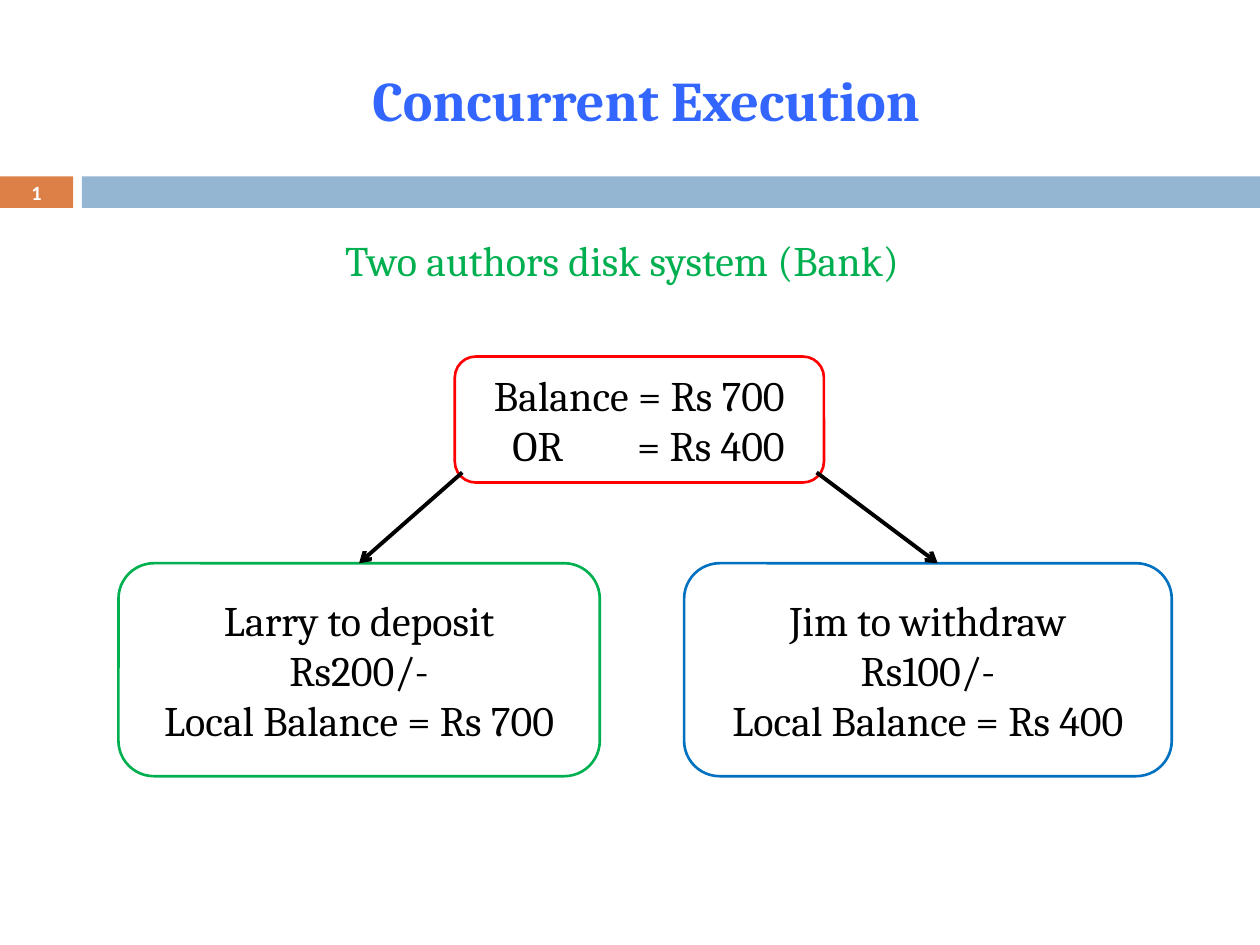
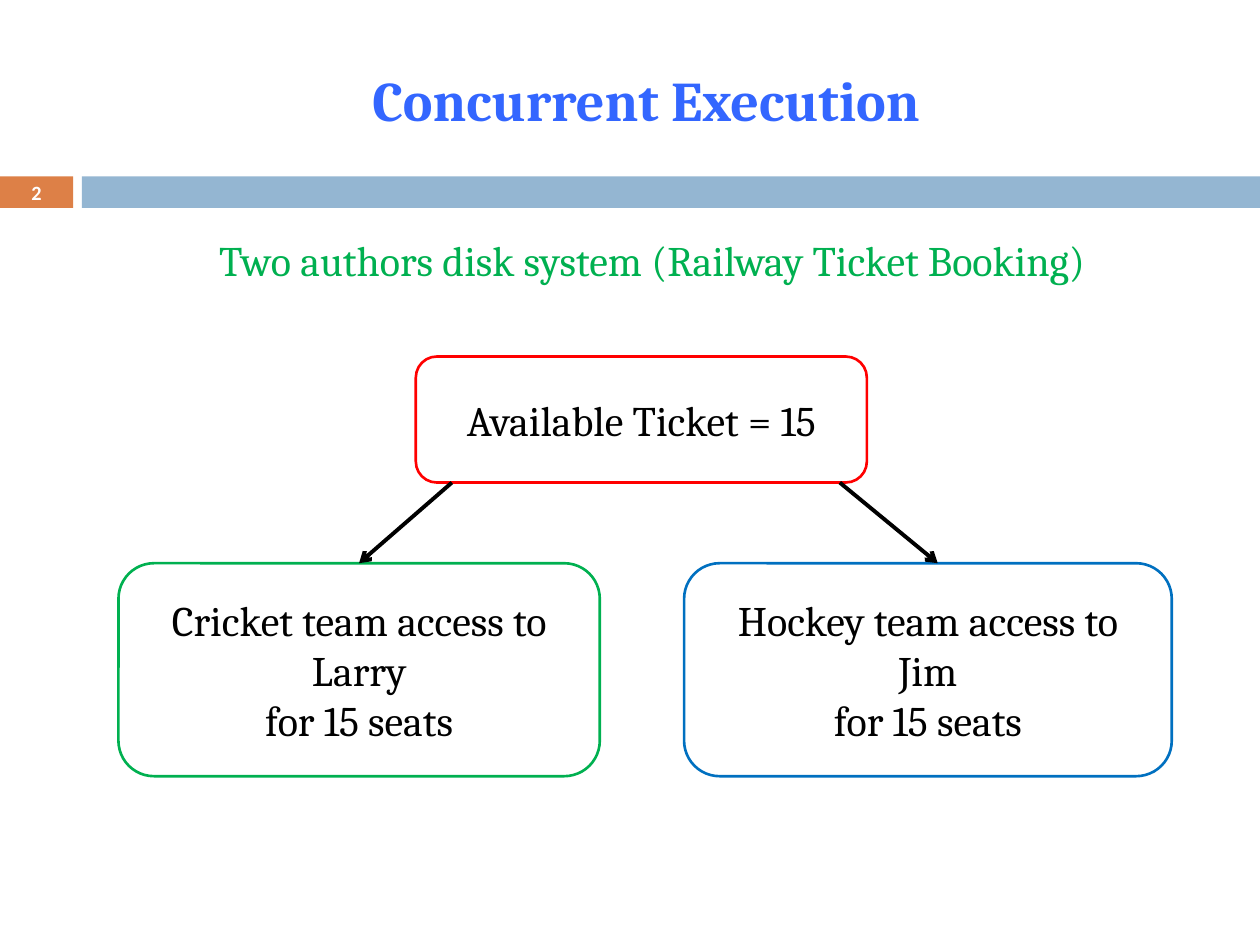
from lxml import etree
from pptx import Presentation, util as u
from pptx.dml.color import RGBColor
from pptx.enum import shapes, text
from pptx.oxml import ns

COLUMNS, ROWS = 100, 75
WIDTH, HEIGHT = u.Inches(10), u.Inches(7.5)
CENTER, LEFT = text.PP_ALIGN.CENTER, text.PP_ALIGN.LEFT
MIDDLE, TOP = text.MSO_ANCHOR.MIDDLE, text.MSO_ANCHOR.TOP
BLACK, WHITE, RED, GREEN, BLUE = "000000", "FFFFFF", "FF0000", "00B050", "0070C0"
ORANGE, PALE_BLUE, TITLE_BLUE = "DD8047", "94B6D2", "3366FF"

BODY = {"name": "Cambria", "size": u.Pt(24), "bold": False}
HEADING = {"name": "Cambria", "size": u.Pt(32), "bold": True}
NUMBER = {"name": "Calibri", "size": u.Pt(11.6), "bold": True}

TITLE_BOX = (6.7, 2.5, 89.2, 10.8)
BAND_BOX = (0, 14, 100, 2.5)
TOPIC_BOX = (2.4, 18.1, 93.4, 5)
FLOW_BOX = (9.4, 28.3, 83.6, 33.3)

SCENARIOS = [
    {
        "topic": "Two authors disk system (Bank)",
        "topic_indent": 24,
        "resource": ["Balance = Rs 700", "\tOR\t= Rs 400"],
        "resource_span": (26.7, 29.3),
        "departures": [(0.02, 0.92), (0.98, 0.92)],
        "users": [
            ["Larry to deposit", "Rs200/-", "Local Balance = Rs 700"],
            ["Jim to withdraw", "Rs100/-", "Local Balance = Rs 400"],
        ],
    },
    {
        "topic": "Two authors disk system (Railway Ticket Booking)",
        "topic_indent": 14,
        "resource": ["Available Ticket = 15"],
        "resource_span": (23.6, 35.8),
        "departures": [(0.08, 1), (0.94, 1)],
        "users": [
            ["Cricket team access to", "Larry", "for 15 seats"],
            ["Hockey team access to", "Jim", "for 15 seats"],
        ],
    },
]


def rgb(code):
    return RGBColor.from_string(code)


def across(columns):
    return round(WIDTH * columns / COLUMNS)


def down(rows):
    return round(HEIGHT * rows / ROWS)


def place(box):
    left, top, width, height = box
    return across(left), down(top), across(width), down(height)


def set_all(target, values):
    for key, value in values.items():
        setattr(target, key, value)


def style(paragraph, look, color, align=CENTER):
    paragraph.alignment = align
    set_all(paragraph.font, look)
    paragraph.font.color.rgb = rgb(color)


def set_tabs(paragraph, stops):
    tabs = etree.SubElement(paragraph._p.get_or_add_pPr(), ns.qn("a:tabLst"))
    for stop in stops:
        etree.SubElement(tabs, ns.qn("a:tab"), pos=str(across(stop)), algn="l")


def write(frame, lines, look, color, anchor=MIDDLE):
    set_all(frame, {"word_wrap": True, "vertical_anchor": anchor})
    frame.text = "\n".join(lines)
    for paragraph in frame.paragraphs:
        tabbed = "\t" in paragraph.text
        if tabbed:
            set_tabs(paragraph, (3.1, 13))
        style(paragraph, look, color, LEFT if tabbed else CENTER)


def add_panel(slide, kind, box, fill, outline=None):
    panel = slide.shapes.add_shape(kind, *place(box))
    panel.shadow.inherit = False
    panel.fill.solid()
    panel.fill.fore_color.rgb = rgb(fill)
    if outline:
        panel.line.color.rgb = rgb(outline)
        panel.line.width = u.Pt(1.5)
    else:
        panel.line.fill.background()
    return panel


def add_title(slide, box, wording):
    title = slide.shapes.title
    set_all(title, dict(zip(("left", "top", "width", "height"), place(box))))
    write(title.text_frame, [wording], HEADING, TITLE_BLUE)


def add_band(slide, box, number):
    left, top, width, height = box
    rectangle = shapes.MSO_SHAPE.RECTANGLE
    badge = add_panel(slide, rectangle, (left, top, 5.8, height), ORANGE)
    add_panel(slide, rectangle, (left + 6.5, top, width - 6.5, height), PALE_BLUE)
    frame = badge.text_frame
    set_all(frame, {"margin_top": 0, "margin_bottom": 0})
    write(frame, [str(number)], NUMBER, WHITE)
    run = frame.paragraphs[0].runs[0]
    set_all(run.font, NUMBER)
    run.font.color.rgb = rgb(WHITE)
    run._r.tag = ns.qn("a:fld")
    run._r.set("id", "{B6F15528-21DE-4FAA-801E-634DDDAF4B2B}")
    run._r.set("type", "slidenum")


def add_topic(slide, box, wording, indent):
    left, top, width, height = box
    topic = slide.shapes.add_textbox(*place((left + indent, top, width - indent, height)))
    write(topic.text_frame, [wording], BODY, GREEN, TOP)
    topic.text_frame.paragraphs[0].alignment = LEFT


def add_node(slide, box, lines, outline):
    node = add_panel(slide, shapes.MSO_SHAPE.ROUNDED_RECTANGLE, box, WHITE, outline)
    write(node.text_frame, lines, BODY, BLACK)


def point_on(box, share):
    left, top, width, height = box
    return across(left + width * share[0]), down(top + height * share[1])


def add_arrow(slide, start, end):
    arrow = slide.shapes.add_connector(shapes.MSO_CONNECTOR.STRAIGHT, *start, *end)
    arrow.line.color.rgb = rgb(BLACK)
    arrow.line.width = u.Pt(2.25)
    etree.SubElement(arrow.line._get_or_add_ln(), ns.qn("a:tailEnd"), type="arrow")
    etree.SubElement(arrow._element.spPr, ns.qn("a:effectLst"))


def add_flow(slide, box, scenario):
    left, top, width, height = box
    offset, span = scenario["resource_span"]
    resource_box = (left + offset, top, span, 10)
    add_node(slide, resource_box, scenario["resource"], RED)

    user_top, user_height = top + height - 16.9, 16.9
    user_boxes = [
        (left, user_top, 38.2, user_height),
        (left + width - 38.7, user_top, 38.7, user_height),
    ]
    arrivals = [(0.5, 0), (0.52, 0)]
    for user_box, lines, outline, departure, arrival in zip(
        user_boxes, scenario["users"], (GREEN, BLUE), scenario["departures"], arrivals
    ):
        add_node(slide, user_box, lines, outline)
        add_arrow(slide, point_on(resource_box, departure), point_on(user_box, arrival))


def add_scenario(deck, number, scenario):
    slide = deck.slides.add_slide(deck.slide_layouts.get_by_name("Title Only"))
    add_title(slide, TITLE_BOX, "Concurrent Execution")
    add_band(slide, BAND_BOX, number)
    add_topic(slide, TOPIC_BOX, scenario["topic"], scenario["topic_indent"])
    add_flow(slide, FLOW_BOX, scenario)


def main():
    deck = Presentation()
    set_all(deck, {"slide_width": WIDTH, "slide_height": HEIGHT})
    for number, scenario in enumerate(SCENARIOS, 1):
        add_scenario(deck, number, scenario)
    deck.save("out.pptx")


if __name__ == "__main__":
    main()
